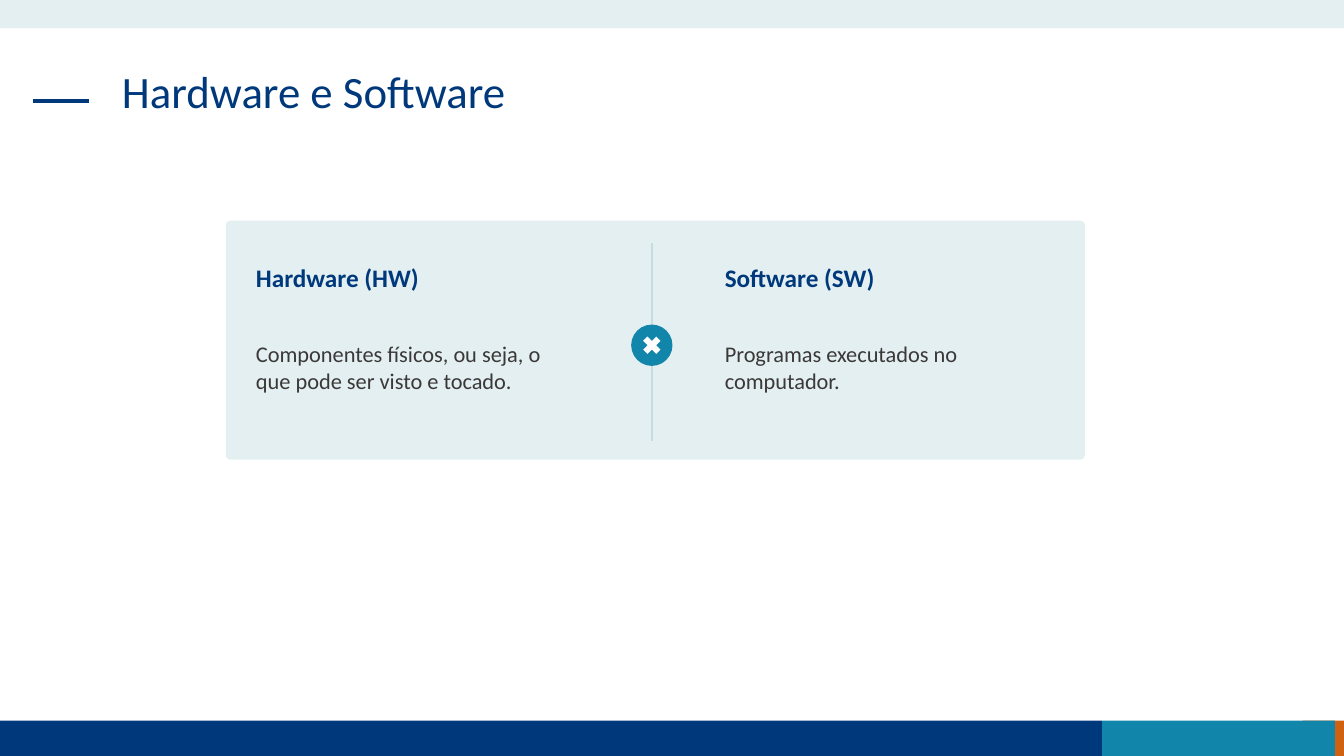
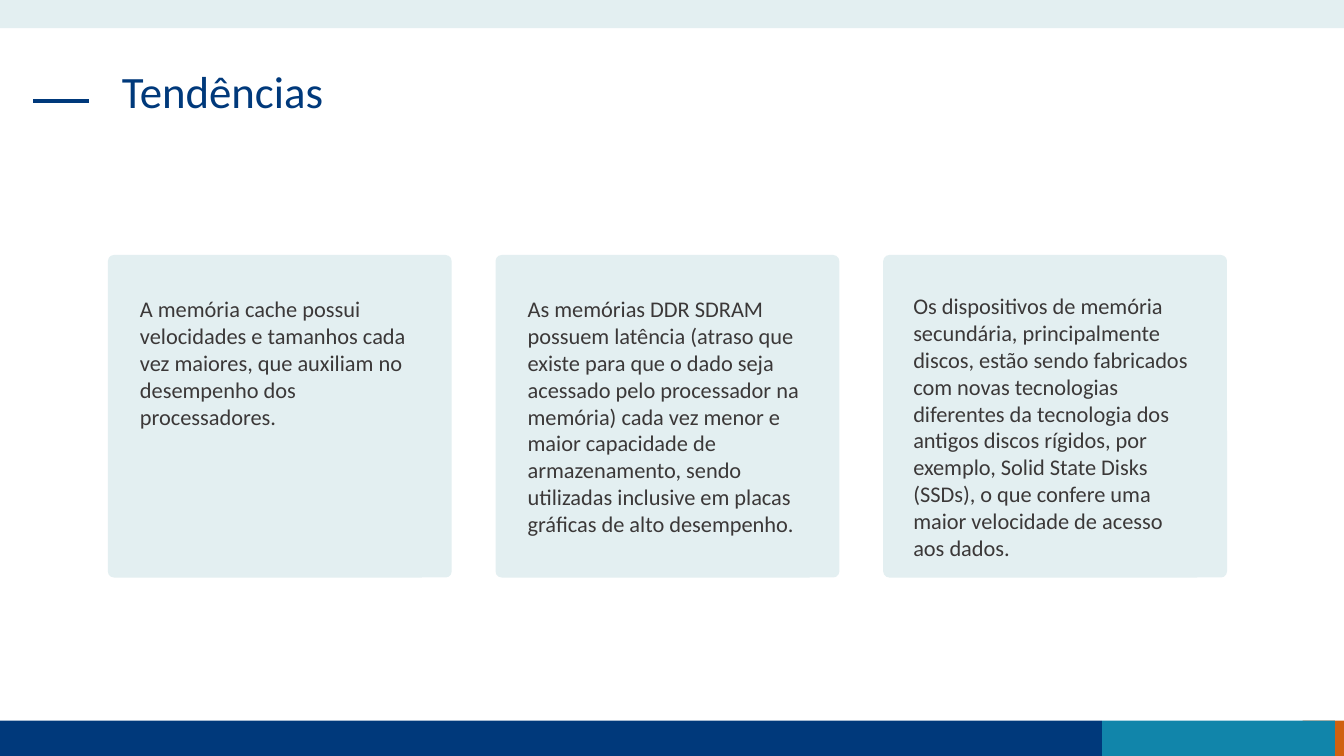
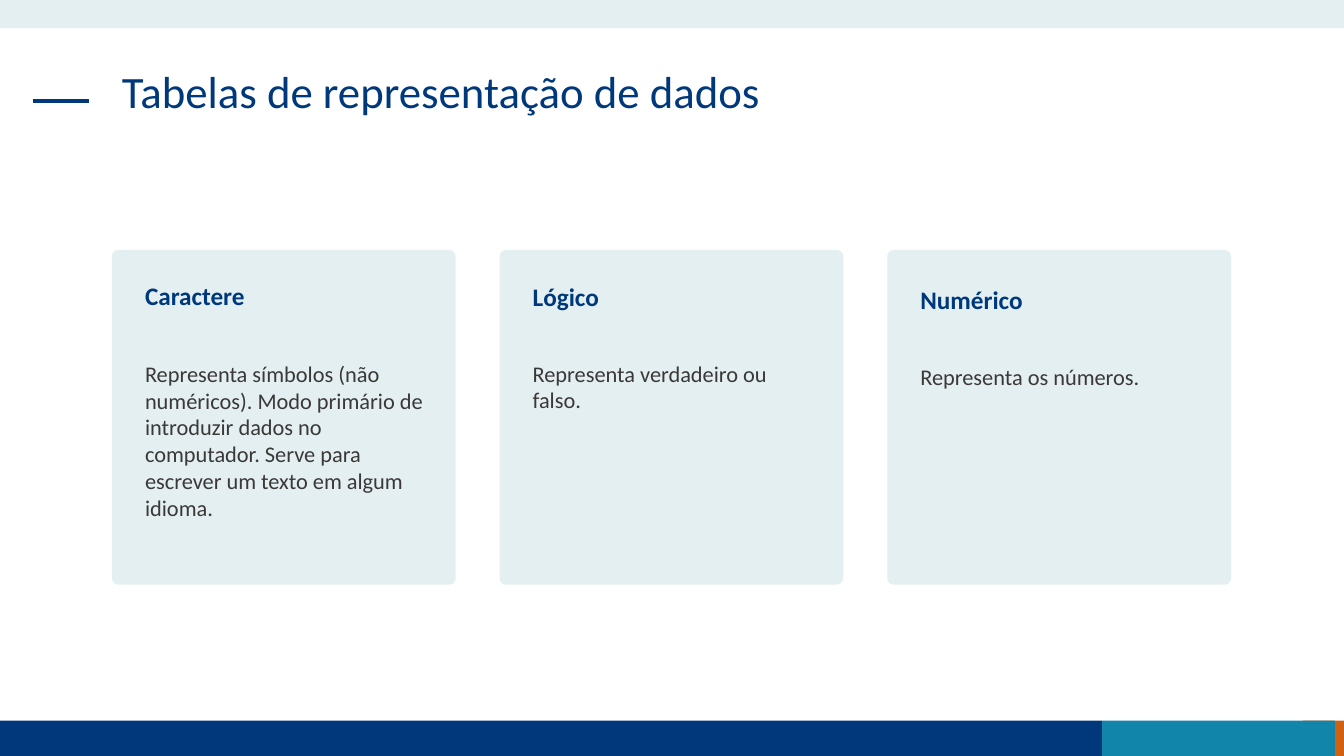
from pptx import Presentation
from pptx.util import Inches, Pt
from pptx.dml.color import RGBColor
from pptx.enum.shapes import MSO_SHAPE as Kind, MSO_CONNECTOR as Link
from pptx.enum.text import MSO_ANCHOR, MSO_AUTO_SIZE, PP_ALIGN
from pptx.oxml.ns import qn
from lxml import etree

NAVY = RGBColor(0x00, 0x39, 0x7B)
TEAL = RGBColor(0x11, 0x85, 0xAA)
ORANGE = RGBColor(0xD0, 0x61, 0x10)
PALE = RGBColor(0xE3, 0xEF, 0xF1)
MIST = RGBColor(0xC4, 0xDD, 0xE1)
GREY = RGBColor(0x3B, 0x38, 0x38)
WHITE = RGBColor(0xFF, 0xFF, 0xFF)
FONT = "Calibri"


def draw(slide, kind, box, color, width=None):
    """Add a plain filled shape, or a line from (x, y) to (x, y) if width is given."""
    spots = [Inches(n) for n in box]
    if width:
        item = slide.shapes.add_connector(kind, *spots)
        item.line.color.rgb = color
        item.line.width = Pt(width)
        etree.SubElement(item._element.spPr, qn("a:effectLst"))
        return item
    item = slide.shapes.add_shape(kind, *spots)
    item.shadow.inherit = False
    item.fill.solid()
    item.fill.fore_color.rgb = color
    item.line.fill.background()
    if kind == Kind.ROUNDED_RECTANGLE:
        item.adjustments[0] = 0.019
    return item


def write(slide, words, box, head=False):
    """Add a card heading or a card text."""
    frame = slide.shapes.add_textbox(*[Inches(n) for n in box]).text_frame
    frame.word_wrap = True
    frame.text = words
    font = frame.paragraphs[0].runs[0].font
    font.name = FONT
    font.size = Pt(18 if head else 16)
    font.bold = head
    font.color.rgb = NAVY if head else GREY


deck = Presentation()
deck.slide_width, deck.slide_height = Inches(13.33), Inches(7.5)

# Shared layout: title place, bands and dash
layout = deck.slide_layouts[5]
for holder in list(layout.placeholders):
    if holder.placeholder_format.idx:
        holder._element.getparent().remove(holder._element)
place = layout.placeholders[0]
place.left, place.top = Inches(1.11), Inches(0.64)
place.width, place.height = Inches(11.1), Inches(0.94)
place.text_frame.vertical_anchor = MSO_ANCHOR.TOP
place.text_frame.auto_size = MSO_AUTO_SIZE.NONE

slides = []
for title in ("Hardware e Software", "Tendências", "Tabelas de representação de dados"):
    slide = deck.slides.add_slide(layout)
    slide.shapes.title.text_frame.text = title
    para = slide.shapes.title.text_frame.paragraphs[0]
    para.alignment = PP_ALIGN.LEFT
    para.line_spacing = 0.9
    font = para.runs[0].font
    font.name, font.size = FONT, Pt(32)
    font.color.rgb = NAVY
    slides.append(slide)
parts, trends, tables = slides

# The layout has no add_shape, so its shapes are drawn on a slide and moved
bands = [
    draw(parts, Kind.RECTANGLE, box, color)
    for box, color in (
        ((12.92, 7.15, 0.41, 0.35), ORANGE),
        ((0, 7.15, 10.93, 0.35), NAVY),
        ((10.93, 7.15, 2.31, 0.35), TEAL),
        ((0, 0, 13.33, 0.28), PALE),
    )
]
dash = draw(parts, Link.STRAIGHT, (0.33, 1, 0.88, 1), NAVY, 3)
for item in bands + [dash]:
    layout.shapes._spTree.append(item._element)

# Hardware and software side by side
draw(parts, Kind.ROUNDED_RECTANGLE, (2.24, 2.19, 8.52, 2.37), PALE)
for x, head, body in (
    (2.44, "Hardware (HW)", "Componentes físicos, ou seja, o que pode ser visto e tocado."),
    (7.09, "Software (SW)", "Programas executados no computador."),
):
    write(parts, head, (x, 2.55, 3.41, 0.4), head=True)
    write(parts, body, (x, 3.33, 3.41, 0.64))
draw(parts, Link.STRAIGHT, (6.47, 2.41, 6.47, 4.38), MIST, 1.5)
draw(parts, Kind.OVAL, (6.26, 3.22, 0.41, 0.41), TEAL)
draw(parts, Kind.MATH_MULTIPLY, (6.34, 3.3, 0.25, 0.25), WHITE)

# Rows of three cards
CARD, TEXT, STEP = 3.41, 2.96, 7.69 / 2

for i, (inset, top, tall, body) in enumerate((
    (0.22, 2.88, 1.45,
     "A memória cache possui velocidades e tamanhos cada vez maiores, que auxiliam "
     "no desempenho dos processadores."),
    (0.22, 2.88, 2.52,
     "As memórias DDR SDRAM possuem latência (atraso que existe para que o dado seja "
     "acessado pelo processador na memória) cada vez menor e maior capacidade de "
     "armazenamento, sendo utilizadas inclusive em placas gráficas de alto desempenho."),
    (0.2, 2.85, 2.79,
     "Os dispositivos de memória secundária, principalmente discos, estão sendo "
     "fabricados com novas tecnologias diferentes da tecnologia dos antigos discos "
     "rígidos, por exemplo, Solid State Disks (SSDs), o que confere uma maior "
     "velocidade de acesso aos dados."),
)):
    x = 1.07 + i * STEP
    draw(trends, Kind.ROUNDED_RECTANGLE, (x, 2.53, CARD, 3.2), PALE)
    write(trends, body, (x + inset, top, TEXT, tall))

for i, (top, low, tall, head, body) in enumerate((
    (2.73, 3.52, 1.72, "Caractere",
     "Representa símbolos (não numéricos). Modo primário de introduzir dados no "
     "computador. Serve para escrever um texto em algum idioma."),
    (2.74, 3.52, 0.64, "Lógico", "Representa verdadeiro ou falso."),
    (2.77, 3.55, 0.37, "Numérico", "Representa os números."),
)):
    x = 1.11 + i * STEP
    draw(tables, Kind.ROUNDED_RECTANGLE, (x, 2.48, CARD, 3.32), PALE)
    write(tables, head, (x + 0.23, top, TEXT, 0.4), head=True)
    write(tables, body, (x + 0.23, low, TEXT, tall))

deck.save("out.pptx")
